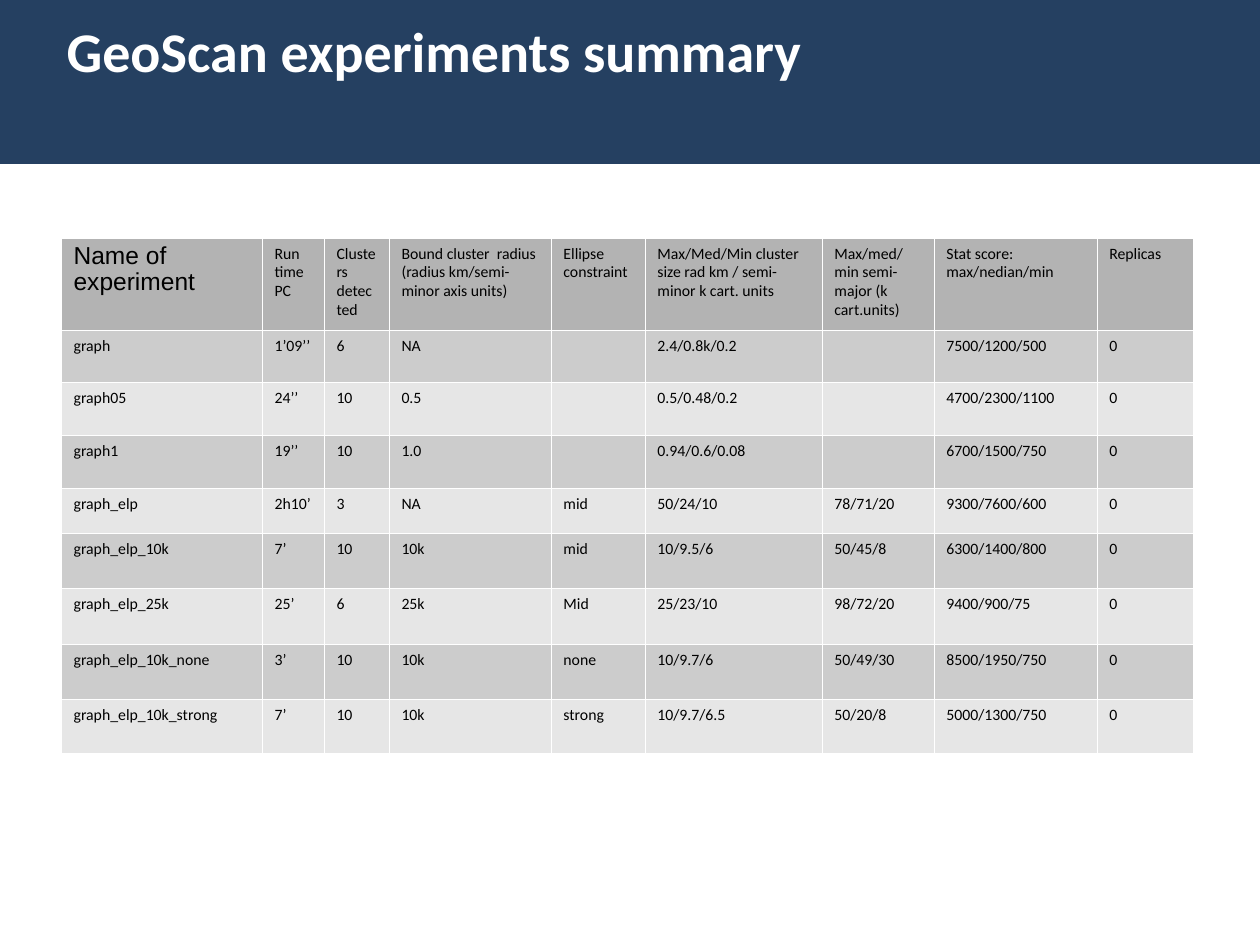
from lxml.etree import SubElement
from pptx import Presentation
from pptx.dml.color import RGBColor
from pptx.enum.shapes import MSO_SHAPE
from pptx.enum.text import MSO_ANCHOR, MSO_AUTO_SIZE, PP_ALIGN
from pptx.oxml.ns import qn
from pptx.util import Emu, Pt

SCALE = 914400 / 126
NAVY = "254061"
BORDER_WIDTH = Pt(0.06)


def color(value):
    return RGBColor.from_string(value)


def write(frame, text, size=9, font="Calibri", fill="000000", bold=False, spacing=0.98):
    para = frame.paragraphs[0]
    para.alignment = PP_ALIGN.LEFT
    para.line_spacing = spacing
    span = para.add_run()
    span.text = text
    span.font.size = Pt(size)
    span.font.name = font
    span.font.bold = bold
    span.font.color.rgb = color(fill)


deck = Presentation()
deck.slide_width = Emu(round(1260 * SCALE))
deck.slide_height = Emu(round(945 * SCALE))
page = deck.slides.add_slide(deck.slide_layouts[5])

band = page.shapes.add_shape(
    MSO_SHAPE.RECTANGLE, *(Emu(round(px * SCALE)) for px in (0, -1, 1260, 165))
)
band.shadow.inherit = False
band.fill.solid()
band.fill.fore_color.rgb = color(NAVY)
band.line.fill.background()
page.shapes._spTree.insert(2, band._element)

title = page.shapes.title
title.left, title.top, title.width, title.height = (
    Emu(round(px * SCALE)) for px in (54, 10, 1206, 79)
)
title.fill.solid()
title.fill.fore_color.rgb = color(NAVY)
title.text_frame.word_wrap = True
title.text_frame.auto_size = MSO_AUTO_SIZE.NONE
title.text_frame.vertical_anchor = MSO_ANCHOR.TOP
write(title.text_frame, "GeoScan experiments summary", size=32, fill="FFFFFF", bold=True, spacing=1.0)

column_widths = [201, 62, 65, 162, 94, 177, 112, 163, 96]
row_heights = [92, 52, 53, 53, 45, 55, 56, 55, 54]
experiments = [
    ["Name of experiment", "Run time PC", "Clusters detected",
     "Bound cluster  radius (radius km/semi-minor axis units)", "Ellipse constraint",
     "Max/Med/Min cluster size rad km / semi-minor k cart. units",
     "Max/med/min semi-major (k cart.units)", "Stat score:  max/nedian/min", "Replicas"],
    ["graph", "1’09’’", "6", "NA", "", "2.4/0.8k/0.2", "", "7500/1200/500", "0"],
    ["graph05", "24’’", "10", "0.5", "", "0.5/0.48/0.2", "", "4700/2300/1100", "0"],
    ["graph1", "19’’", "10", "1.0", "", "0.94/0.6/0.08", "", "6700/1500/750", "0"],
    ["graph_elp", "2h10’", "3", "NA", "mid", "50/24/10", "78/71/20", "9300/7600/600", "0"],
    ["graph_elp_10k", "7’", "10", "10k", "mid", "10/9.5/6", "50/45/8", "6300/1400/800", "0"],
    ["graph_elp_25k", "25’", "6", "25k", "Mid", "25/23/10", "98/72/20", "9400/900/75", "0"],
    ["graph_elp_10k_none", "3’", "10", "10k", "none", "10/9.7/6", "50/49/30", "8500/1950/750", "0"],
    ["graph_elp_10k_strong", "7’", "10", "10k", "strong", "10/9.7/6.5", "50/20/8", "5000/1300/750", "0"],
]

table_box = (61, 238, sum(column_widths), sum(row_heights))
table = page.shapes.add_table(
    len(row_heights), len(column_widths), *(Emu(round(px * SCALE)) for px in table_box)
).table
table.first_row = False
table.horz_banding = False
for column, width in zip(table.columns, column_widths):
    column.width = Emu(round(width * SCALE))

for row_index, (height, values) in enumerate(zip(row_heights, experiments)):
    table.rows[row_index].height = Emu(round(height * SCALE))
    row_fill = "B3B3B3" if row_index == 0 else ("E6E6E6", "CCCCCC")[row_index % 2]
    for column_index, value in enumerate(values):
        cell = table.cell(row_index, column_index)
        properties = cell._tc.get_or_add_tcPr()
        for side in ("a:lnL", "a:lnR", "a:lnT", "a:lnB"):
            border = SubElement(properties, qn(side), w=str(BORDER_WIDTH))
            border_fill = SubElement(border, qn("a:solidFill"))
            SubElement(border_fill, qn("a:srgbClr"), val="FFFFFF")
        cell.fill.solid()
        cell.fill.fore_color.rgb = color(row_fill)
        if row_index == column_index == 0:
            write(cell.text_frame, value, size=14, font="Arial", spacing=0.93)
        elif value:
            write(cell.text_frame, value)

deck.save("out.pptx")
